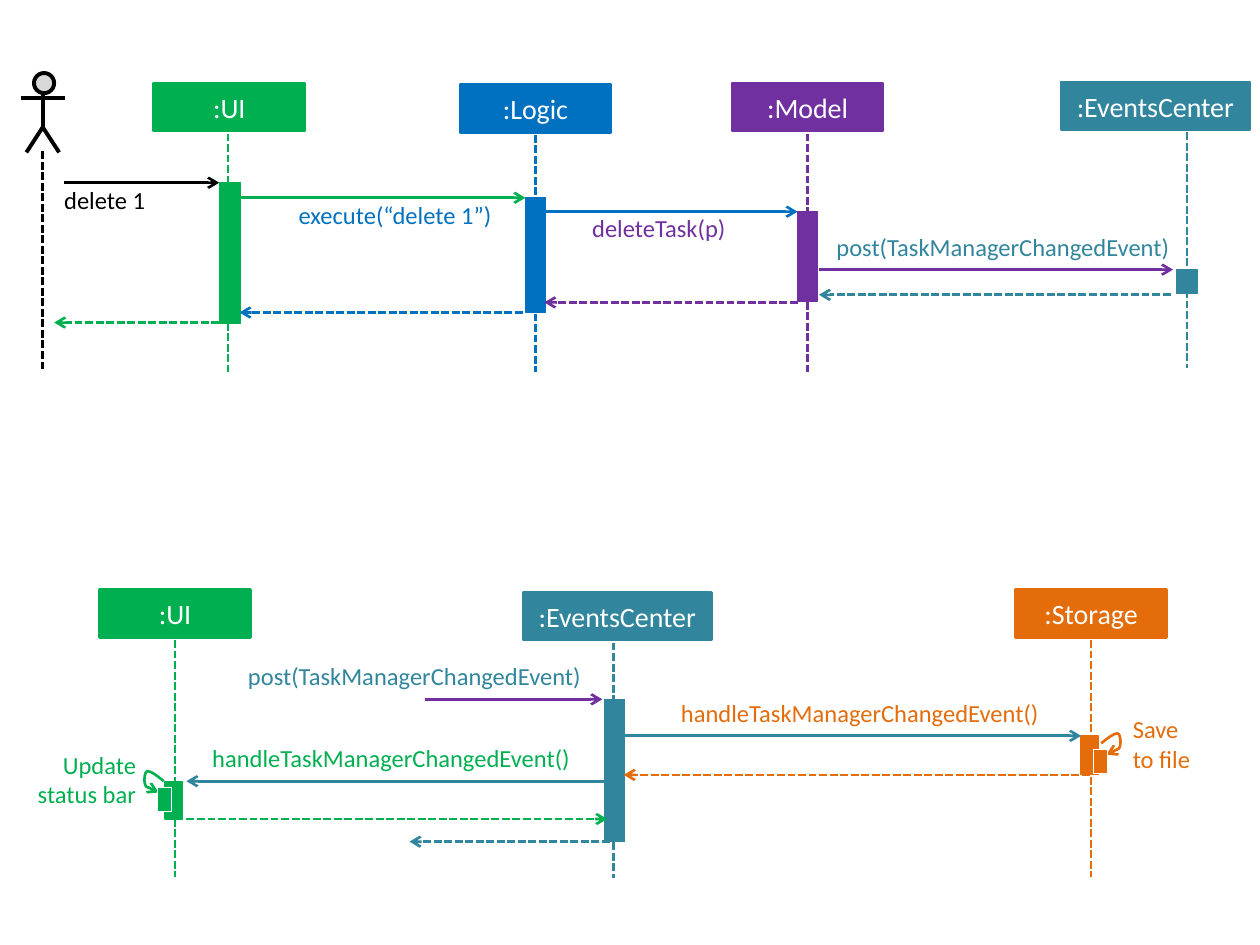
from dataclasses import dataclass, replace
from typing import Any

from lxml.etree import SubElement
from pptx import Presentation
from pptx.dml.color import RGBColor
from pptx.enum.dml import MSO_LINE
from pptx.enum.shapes import MSO_CONNECTOR, MSO_SHAPE as Preset
from pptx.enum.text import MSO_ANCHOR, PP_ALIGN as Align
from pptx.oxml.ns import qn
from pptx.util import Inches, Pt

GREEN = RGBColor(0x00, 0xB0, 0x50)
BLUE = RGBColor(0x00, 0x70, 0xC0)
PURPLE = RGBColor(0x70, 0x30, 0xA0)
TEAL = RGBColor(0x31, 0x85, 0x9C)
ORANGE = RGBColor(0xE4, 0x6C, 0x0A)
BLACK = RGBColor(0x00, 0x00, 0x00)
WHITE = RGBColor(0xFF, 0xFF, 0xFF)
GREY = RGBColor(0xD9, 0xD9, 0xD9)

COLUMNS = 10
HEAD_HEIGHT = 0.38
LINE_HEIGHT = 0.24


@dataclass
class Region:
    shapes: Any
    left: int
    top: int
    column: int

    def at(self, x, y):
        return self.left + round(x * self.column), self.top + round(y * self.column)

    def box(self, x, y, width, height):
        return *self.at(x, y), round(width * self.column), round(height * self.column)

    def grouped(self):
        return replace(self, shapes=self.shapes.add_group_shape().shapes)


def style_line(shape, color, weight, dashed=False, arrow=None):
    shape.line.color.rgb = color
    shape.line.width = Pt(weight)
    if dashed:
        shape.line.dash_style = MSO_LINE.SQUARE_DOT
    if arrow:
        outline = shape._element.spPr.find(qn("a:ln"))
        SubElement(outline, qn(f"a:{arrow}"), type="arrow")


def write(frame, text, size, color, align):
    frame.word_wrap = True
    frame.text = text
    paragraph = frame.paragraphs[0]
    paragraph.alignment = align
    font_format = {"name": "Calibri", "size": Pt(size)}
    for run in paragraph.runs:
        for key, value in font_format.items():
            setattr(run.font, key, value)
        run.font.color.rgb = color


def block(region, place, fill, edge, weight=0.75, preset=Preset.RECTANGLE):
    shape = region.shapes.add_shape(preset, *region.box(*place))
    shape.shadow.inherit = False
    shape.fill.solid()
    shape.fill.fore_color.rgb = fill
    style_line(shape, edge, weight)
    return shape


def stroke(region, start, end, color, weight=1.5, dashed=False, arrow=None):
    line = region.shapes.add_connector(
        MSO_CONNECTOR.STRAIGHT, *region.at(*start), *region.at(*end))
    style_line(line, color, weight, dashed, arrow)
    SubElement(line._element.spPr, qn("a:effectLst"))


def outline(region, points, color, weight, arrow=None):
    start, *rest = [region.at(*point) for point in points]
    builder = region.shapes.build_freeform(*start)
    builder.add_line_segments(rest, close=False)
    shape = builder.convert_to_shape()
    shape.shadow.inherit = False
    shape.fill.background()
    style_line(shape, color, weight, arrow=arrow)
    return shape


def curve(region, points, color):
    shape = outline(region, points, color, 1.5, "headEnd")
    segments = list(shape._element.spPr.iter(qn("a:lnTo")))
    for first in range(0, len(segments), 3):
        bezier = SubElement(segments[first].getparent(), qn("a:cubicBezTo"))
        for segment in segments[first:first + 3]:
            bezier.append(segment[0])
            segment.getparent().remove(segment)


def label(region, text, place, color, align=Align.LEFT):
    frame = region.shapes.add_textbox(*region.box(*place)).text_frame
    for side in ("left", "top", "right", "bottom"):
        setattr(frame, f"margin_{side}", 0)
    write(frame, text, 14, color, align)


def participant(region, name, color, left, top, width, axis, end, bar):
    head = block(region, (left, top, width, HEAD_HEIGHT), color, color, 1.5)
    head.text_frame.vertical_anchor = MSO_ANCHOR.MIDDLE
    write(head.text_frame, name, 16, WHITE, Align.CENTER)
    stroke(region, (axis, top + HEAD_HEIGHT + 0.02), (axis, end), color, dashed=True)
    block(region, bar, color, color)


def message(region, start, end, y, color, reply=False):
    stroke(region, (start, y), (end, y), color, dashed=reply, arrow="tailEnd")


def actor(region, axis, end):
    figure = region.grouped()
    block(figure, (axis - 0.07, 0.08, 0.16, 0.16), GREY, BLACK, 2.25,
          Preset.FLOWCHART_CONNECTOR)
    stroke(figure, (axis, 0.24), (axis, 0.52), BLACK, 2.25)
    outline(figure, [(axis - 0.13, 0.71), (axis, 0.51), (axis + 0.13, 0.71)],
            BLACK, 2.25)
    stroke(figure, (axis - 0.17, 0.28), (axis + 0.18, 0.28), BLACK, 2.25)
    stroke(region, (axis, 0.7), (axis, end), BLACK, dashed=True)


def self_call(region, points, bar, color):
    call = region.grouped()
    curve(call, points, color)
    block(call, bar, color, WHITE)


def delete_sequence(region):
    for lane in (
        (":UI", GREEN, 1.22, 0.16, 1.2, 1.81, 2.45, (1.74, 0.95, 0.17, 1.12)),
        (":Logic", BLUE, 3.65, 0.17, 1.2, 4.25, 2.45, (4.17, 1.07, 0.16, 0.91)),
        (":Model", PURPLE, 5.81, 0.16, 1.2, 6.41, 2.45, (6.33, 1.18, 0.16, 0.71)),
        (":EventsCenter", TEAL, 8.42, 0.15, 1.5, 9.42, 2.42, (9.34, 1.64, 0.16, 0.19)),
    ):
        participant(region, *lane)
    actor(region, 0.34, 2.45)
    for start, end, y, color in (
        (0.51, 1.74, 0.95, BLACK), (1.9, 4.17, 1.07, GREEN),
        (4.32, 6.33, 1.18, BLUE), (6.5, 9.31, 1.64, PURPLE),
    ):
        message(region, start, end, y, color)
    for start, end, y, color in (
        (9.29, 6.5, 1.84, TEAL), (6.33, 4.32, 1.9, PURPLE),
        (4.15, 1.9, 1.98, BLUE), (1.74, 0.43, 2.06, GREEN),
    ):
        message(region, start, end, y, color, reply=True)
    for text, x, y, width, color, align in (
        ("delete 1", 0.51, 0.97, 0.94, BLACK, Align.LEFT),
        ("execute(“delete 1”)", 2.37, 1.09, 1.56, BLUE, Align.LEFT),
        ("deleteTask(p)", 4.7, 1.19, 1.56, PURPLE, Align.LEFT),
        ("post(TaskManagerChangedEvent)", 6.42, 1.34, 3.08, TEAL, Align.CENTER),
    ):
        label(region, text, (x, y, width, LINE_HEIGHT), color, align)


def event_sequence(region):
    for lane in (
        (":Storage", ORANGE, 8.06, 0.18, 1.2, 8.66, 2.46, (8.58, 1.34, 0.14, 0.31)),
        (":EventsCenter", TEAL, 4.15, 0.2, 1.5, 4.87, 2.47, (4.8, 1.05, 0.16, 1.13)),
        (":UI", GREEN, 0.79, 0.18, 1.2, 1.39, 2.46, (1.31, 1.7, 0.14, 0.3)),
    ):
        participant(region, *lane)
    for start, end, y, color, reply in (
        (3.37, 4.78, 1.05, PURPLE, False), (4.95, 8.58, 1.34, TEAL, False),
        (8.65, 4.95, 1.65, ORANGE, True), (4.82, 1.48, 1.7, TEAL, False),
        (1.48, 4.82, 2.0, GREEN, True), (4.84, 3.25, 2.18, TEAL, True),
    ):
        message(region, start, end, y, color, reply)
    for text, x, y, width, color in (
        ("post(TaskManagerChangedEvent)", 1.63, 0.75, 3.32, TEAL),
        ("handleTaskManagerChangedEvent()", 5.23, 1.04, 3.19, ORANGE),
        ("handleTaskManagerChangedEvent()", 1.48, 1.4, 3.25, GREEN),
    ):
        label(region, text, (x, y, width, LINE_HEIGHT), color, Align.CENTER)
    loop = [(1.26, 1.79), (1.21, 1.77), (1.16, 1.75), (1.15, 1.72),
            (1.14, 1.69), (1.15, 1.62), (1.17, 1.62),
            (1.2, 1.62), (1.25, 1.66), (1.3, 1.7)]
    self_call(region, loop, (1.25, 1.75, 0.11, 0.19), GREEN)
    mirrored = [(10.04 - x, y - 0.3) for x, y in loop]
    self_call(region, mirrored, (8.68, 1.45, 0.11, 0.19), ORANGE)
    label(region, "Update status bar", (0.21, 1.45, 0.87, 0.47), GREEN, Align.RIGHT)
    label(region, "Save \vto file", (8.99, 1.17, 0.59, 0.47), ORANGE)


def main():
    deck = Presentation()
    deck.slide_width, deck.slide_height = Inches(10), Inches(7.5)
    slide = deck.slides.add_slide(deck.slide_layouts[6])
    column = deck.slide_width // COLUMNS
    for draw, row in ((delete_sequence, 0.5), (event_sequence, 4.5)):
        draw(Region(slide.shapes, 0, round(row * column), column))
    deck.save("out.pptx")


if __name__ == "__main__":
    main()
